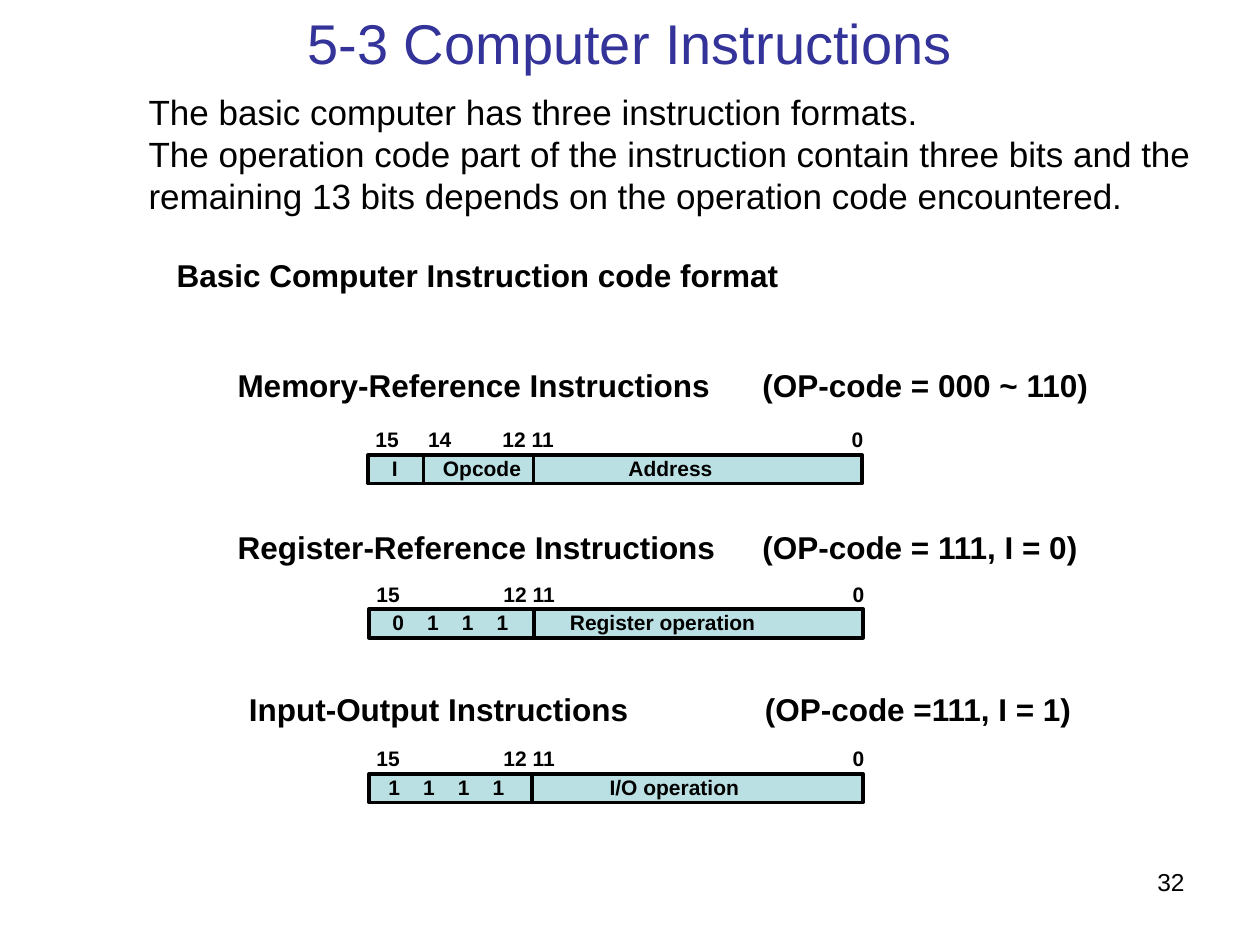
from pptx import Presentation
from pptx.dml.color import RGBColor
from pptx.enum.shapes import MSO_CONNECTOR as Connector, MSO_SHAPE as Shape
from pptx.enum.text import MSO_ANCHOR as Anchor, MSO_AUTO_SIZE as AutoSize, PP_ALIGN as Align
from pptx.oxml.ns import qn
from pptx.util import Cm, Pt
from lxml.etree import SubElement

BLACK = RGBColor(0x00, 0x00, 0x00)
INDIGO = RGBColor(0x33, 0x33, 0x99)
PALE_TEAL = RGBColor(0xBB, 0xE0, 0xE3)

TITLE = dict(name="Arial", size=Pt(32), bold=False)
INTRO = dict(name="Arial", size=Pt(20), bold=False)
HEADING = dict(name="Arial", size=Pt(18), bold=True)
FIELD = dict(name="Arial", size=Pt(12), bold=True)
PAGE = dict(name="Arial", size=Pt(14), bold=False)

BAR_WIDTH, BAR_HEIGHT = 9.96, 0.58
HEADING_WIDTH = 18.6
BIT_ROW = -0.63
CELL_ROW = -0.05
BIT_TABS = [0.7, 1.4, 2.1]
BIT_ENDS = [("15", -0.1, 1.1), ("12 11", 2.46, 1.7), ("0", 9.5, 0.8)]

FORMATS = [
    dict(
        left=7.42, bar_top=9.17, heading_left=4.54, heading_top=7.34, opcode_tab=10.58,
        heading="Memory-Reference Instructions\t(OP-code = 000 ~ 110)",
        bits=BIT_ENDS + [("14", 0.96, 1.1)],
        dividers=[1.12, 3.33],
        cells=[("I", 0.23, 0.7), ("Opcode", 1.26, 2.3), ("Address", 5.0, 2.4)],
    ),
    dict(
        left=7.44, bar_top=12.28, heading_left=4.54, heading_top=10.61, opcode_tab=10.58,
        heading="Register-Reference Instructions\t(OP-code = 111, I = 0)",
        bits=BIT_ENDS,
        dividers=[3.33],
        cells=[("0\t1\t1\t1", 0.22, 2.9), ("Register operation", 3.8, 4.6)],
    ),
    dict(
        left=7.44, bar_top=15.6, heading_left=4.77, heading_top=13.87, opcode_tab=10.4,
        heading="Input-Output Instructions\t(OP-code =111, I = 1)",
        bits=BIT_ENDS,
        dividers=[3.28],
        cells=[("1\t1\t1\t1", 0.14, 2.9), ("I/O operation", 4.6, 3.4)],
    ),
]


def apply(target, values):
    for attribute, value in values.items():
        setattr(target, attribute, value)


def place(part, left, top, width, height):
    apply(part, dict(left=Cm(left), top=Cm(top), width=Cm(width), height=Cm(height)))


def write(paragraph, words, style, color=BLACK, **layout):
    apply(paragraph, layout)
    run = paragraph.add_run()
    run.text = words
    apply(run.font, style)
    run.font.color.rgb = color


def add_label(slide, words, box, style, tabs=(), **layout):
    frame = slide.shapes.add_textbox(*map(Cm, box)).text_frame
    frame.word_wrap = True
    paragraph = frame.paragraphs[0]
    if tabs:
        stops = SubElement(paragraph._p.get_or_add_pPr(), qn("a:tabLst"))
        for tab in tabs:
            SubElement(stops, qn("a:tab"), pos=str(Cm(tab)), algn="l")
    write(paragraph, words, style, **layout)
    return frame


def add_title(slide, box):
    title = slide.shapes.title
    place(title, *box)
    apply(title.text_frame, dict(vertical_anchor=Anchor.MIDDLE, auto_size=AutoSize.NONE))
    write(title.text_frame.paragraphs[0], "5-3 Computer Instructions", TITLE, INDIGO,
          alignment=Align.CENTER)


def add_intro(slide, box):
    intro = slide.placeholders[1]
    place(intro, *box)
    frame = intro.text_frame
    apply(frame, dict(vertical_anchor=Anchor.TOP, auto_size=AutoSize.NONE, word_wrap=True))
    sentences = [
        "The basic computer has three instruction formats.",
        "The operation code part of the instruction contain three bits and the "
        "remaining 13 bits depends on the operation code encountered.",
    ]
    for index, sentence in enumerate(sentences):
        paragraph = frame.add_paragraph() if index else frame.paragraphs[0]
        properties = paragraph._p.get_or_add_pPr()
        properties.set("marL", "0")
        properties.set("indent", "0")
        SubElement(properties, qn("a:buNone"))
        write(paragraph, sentence, INTRO, space_before=Pt(0), alignment=Align.LEFT)


def add_section_heading(slide, box):
    frame = add_label(slide, "Basic Computer Instruction code format", box, HEADING,
                      line_spacing=1.02)
    apply(frame, dict(margin_left=Cm(0.18), margin_right=Cm(0.18),
                      margin_top=Cm(0.08), margin_bottom=Cm(0.08)))


def add_divider(slide, x, top):
    divider = slide.shapes.add_connector(
        Connector.STRAIGHT, Cm(x), Cm(top), Cm(x), Cm(top + BAR_HEIGHT))
    divider.line.color.rgb = BLACK
    divider.line.width = Pt(2)
    SubElement(divider._element.spPr, qn("a:effectLst"))


def add_format(slide, left, bar_top, heading_left, heading_top, opcode_tab,
               heading, bits, dividers, cells):
    add_label(slide, heading, (heading_left, heading_top, HEADING_WIDTH, 0.94), HEADING,
              tabs=[opcode_tab], line_spacing=0.9)

    bar = slide.shapes.add_shape(
        Shape.RECTANGLE, Cm(left), Cm(bar_top), Cm(BAR_WIDTH), Cm(BAR_HEIGHT))
    bar.shadow.inherit = False
    bar.fill.solid()
    bar.fill.fore_color.rgb = PALE_TEAL
    bar.line.color.rgb = BLACK
    bar.line.width = Pt(2)

    for x in dividers:
        add_divider(slide, left + x, bar_top)
    for row, labels in ((BIT_ROW, bits), (CELL_ROW, cells)):
        for words, x, width in labels:
            add_label(slide, words, (left + x, bar_top + row, width, 0.71), FIELD,
                      tabs=BIT_TABS if "\t" in words else (), line_spacing=0.9)


def main():
    deck = Presentation()
    apply(deck, dict(slide_width=Cm(25.4), slide_height=Cm(19.05)))
    slide = deck.slides.add_slide(deck.slide_layouts[1])
    add_title(slide, (1.27, 0, 22.86, 1.7))
    add_intro(slide, (2.74, 1.7, 21.8, 2.8))
    add_section_heading(slide, (3.38, 5.06, 15.04, 0.91))
    for instruction_format in FORMATS:
        add_format(slide, **instruction_format)
    add_label(slide, "32", (18.21, 17.35, 5.92, 1.32), PAGE, alignment=Align.RIGHT)
    deck.save("out.pptx")


if __name__ == "__main__":
    main()
